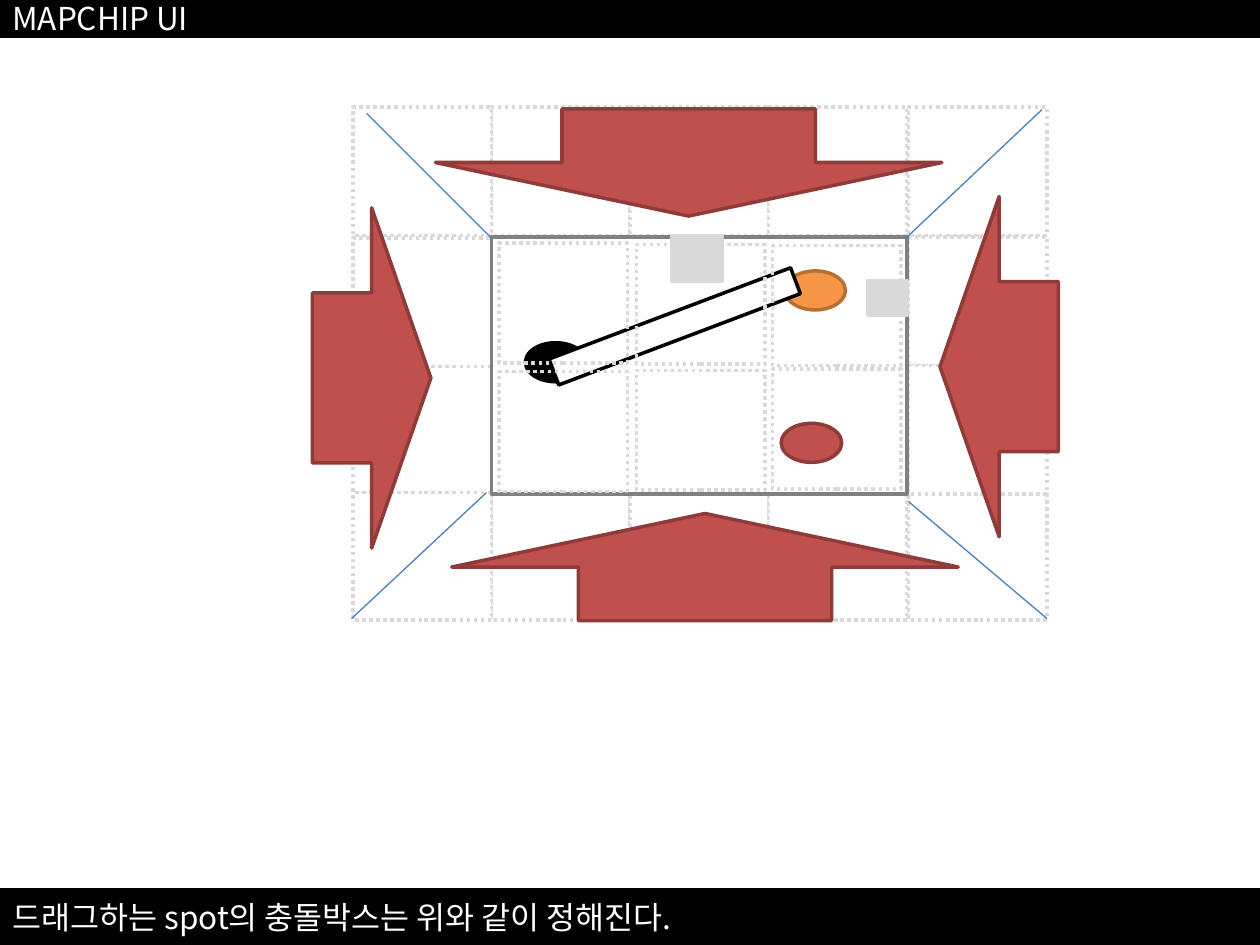
from lxml.etree import SubElement
from pptx import Presentation
from pptx.dml.color import RGBColor
from pptx.enum.dml import MSO_LINE
from pptx.enum.shapes import MSO_CONNECTOR, MSO_SHAPE
from pptx.enum.text import MSO_ANCHOR, PP_ALIGN
from pptx.oxml.ns import qn
from pptx.util import Pt

PX = 9144  # EMU per px, 100 px to the inch
FONT = "Noto Sans CJK KR"

BLACK = RGBColor(0x00, 0x00, 0x00)
WHITE = RGBColor(0xFF, 0xFF, 0xFF)
LIGHT_GREY = RGBColor(0xD9, 0xD9, 0xD9)
GREY = RGBColor(0x80, 0x80, 0x80)
RED = RGBColor(0xC0, 0x50, 0x4D)
DARK_RED = RGBColor(0x8E, 0x3B, 0x39)
ORANGE = RGBColor(0xF7, 0x96, 0x46)
DARK_ORANGE = RGBColor(0xB7, 0x6F, 0x34)
BLUE = RGBColor(0x4B, 0x7E, 0xBC)


def add_shape(parent, kind, at, fill, line, rotation=0):
    shape = parent.shapes.add_shape(kind, *(n * PX for n in at))
    shape.shadow.inherit = False
    shape.rotation = rotation
    if fill is None:
        shape.fill.background()
    else:
        shape.fill.solid()
        shape.fill.fore_color.rgb = fill
    shape.line.color.rgb = line
    shape.line.width = Pt(2)
    return shape


def add_bar(page, top, height, text):
    bar = add_shape(page, MSO_SHAPE.RECTANGLE, (0, top, 1000, height), BLACK, BLACK)
    frame = bar.text_frame
    frame.word_wrap = True
    frame.vertical_anchor = MSO_ANCHOR.MIDDLE
    para = frame.paragraphs[0]
    para.alignment = PP_ALIGN.LEFT
    span = para.add_run()
    span.text = text
    span.font.size = Pt(18)
    span.font.color.rgb = WHITE
    span.font.name = FONT
    SubElement(span.font._element, qn("a:ea"), typeface=FONT)


def add_cell(page, left, top, width, height, fill):
    cell = add_shape(page, MSO_SHAPE.RECTANGLE, (left, top, width, height), fill, LIGHT_GREY)
    cell.line.dash_style = MSO_LINE.ROUND_DOT


def add_outer_cells(page):
    columns = [280, 390, 500, 610, 721]
    left, right = columns[0], columns[-1]
    # Left column is drawn last in each row
    places = [(x, y) for y in (85, 390) for x in columns[1:] + columns[:1]]
    places += [(left, 289), (left, 189), (right, 188), (right, 290)]
    for x, y in places:
        add_cell(page, x, y, 110, 102, WHITE)


def add_inner_cells(page):
    # The rows draw closer together toward the right
    for row_top, drift in ((193, 1), (295, -1)):
        for column, x in enumerate((396, 505, 613)):
            add_cell(page, x, row_top + drift * column, 102, 95, None)


def add_screen(page):
    screen = page.shapes.add_group_shape()
    rectangle, ellipse = MSO_SHAPE.RECTANGLE, MSO_SHAPE.OVAL
    # Frame and grey handles
    add_shape(screen, rectangle, (453, 125, 204, 330), WHITE, GREY, 90)
    add_shape(screen, rectangle, (535, 185, 36, 40), LIGHT_GREY, LIGHT_GREY, 90)
    add_shape(screen, rectangle, (691, 221, 27, 31), LIGHT_GREY, LIGHT_GREY, 90)
    # Spots
    for x, y, fill, line in (
        (417, 272, BLACK, BLACK),
        (620, 336, RED, DARK_RED),
        (623, 215, ORANGE, DARK_ORANGE),
    ):
        add_shape(screen, ellipse, (x, y, 48, 31), fill, line)
    # Drag path
    add_shape(screen, rectangle, (433, 248, 205, 22), WHITE, BLACK, 339.3)


def add_diagonal(page, *ends):
    diagonal = page.shapes.add_connector(MSO_CONNECTOR.STRAIGHT, *(n * PX for n in ends))
    diagonal.line.color.rgb = BLUE
    diagonal.line.width = Pt(0.75)
    SubElement(diagonal._element.spPr, qn("a:effectLst"))


def main():
    deck = Presentation()
    deck.slide_width = 1000 * PX
    deck.slide_height = 750 * PX
    page = deck.slides.add_slide(deck.slide_layouts[6])

    # Title and caption
    add_bar(page, 0, 29, "MAPCHIP UI")
    add_bar(page, 706, 44, "드래그하는 spot의 충돌박스는 위와 같이 정해진다.")

    # Map around the visible screen
    add_outer_cells(page)
    add_screen(page)

    # Corner diagonals
    for ends in (
        (390, 189, 291, 90),
        (831, 491, 721, 398),
        (386, 391, 279, 491),
        (827, 87, 719, 189),
    ):
        add_diagonal(page, *ends)

    # Collision boxes pointing inward
    for at, rotation in (
        ((248, 165, 94, 270), 0),
        ((746, 156, 94, 270), 180),
        ((517, 249, 85, 402), 270),
        ((504, -72, 85, 402), 90),
    ):
        add_shape(page, MSO_SHAPE.RIGHT_ARROW, at, RED, DARK_RED, rotation)

    add_inner_cells(page)
    deck.save("out.pptx")


if __name__ == "__main__":
    main()
